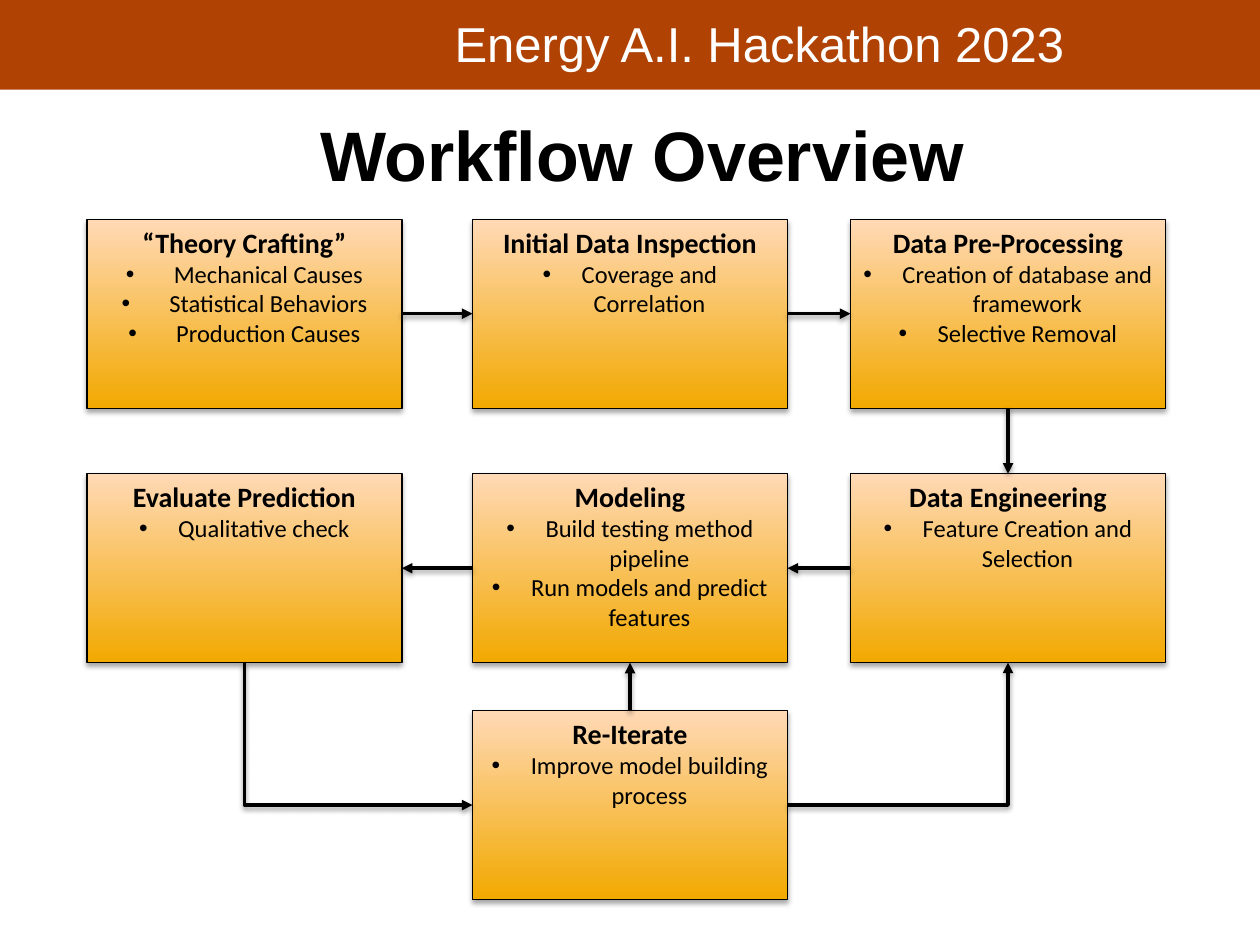
"""Build the workflow overview slide."""
from typing import NamedTuple

from lxml.etree import SubElement
from pptx import Presentation
from pptx.dml.color import RGBColor
from pptx.enum.shapes import MSO_CONNECTOR, MSO_SHAPE
from pptx.enum.text import MSO_ANCHOR, MSO_AUTO_SIZE, PP_ALIGN
from pptx.oxml.ns import qn
from pptx.util import Emu, Inches, Pt

BLACK = RGBColor(0x00, 0x00, 0x00)
WHITE = RGBColor(0xFF, 0xFF, 0xFF)
RUST = RGBColor(0xB0, 0x43, 0x04)
AMBER = RGBColor(0xF2, 0xA9, 0x00)
PEACH = RGBColor(0xFF, 0xD9, 0xB6)

COLS = (0.69, 3.75, 6.75)
ROWS = (1.74, 3.76, 5.64)
WIDE, HIGH = 2.5, 1.5
TOP, LEFT, BASE, RIGHT = range(4)


class Step(NamedTuple):
    name: str
    col: int
    row: int
    points: tuple[str, ...]
    indent: float = 0.31


class Link(NamedTuple):
    start: str
    out: int
    end: str
    into: int
    bent: bool = False


STEPS = (
    Step("“Theory Crafting”", 0, 0,
         ("Mechanical Causes", "Statistical Behaviors", "Production Causes"), 0.38),
    Step("Initial Data Inspection", 1, 0, ("Coverage and Correlation",)),
    Step("Data Pre-Processing", 2, 0,
         ("Creation of database and framework", "Selective Removal")),
    Step("Data Engineering", 2, 1, ("Feature Creation and Selection",)),
    Step("Modeling", 1, 1,
         ("Build testing method pipeline", "Run models and predict features")),
    Step("Evaluate Prediction", 0, 1, ("Qualitative check",)),
    Step("Re-Iterate", 1, 2, ("Improve model building process",)),
)

LINKS = (
    Link("“Theory Crafting”", RIGHT, "Initial Data Inspection", LEFT),
    Link("Initial Data Inspection", RIGHT, "Data Pre-Processing", LEFT),
    Link("Data Pre-Processing", BASE, "Data Engineering", TOP),
    Link("Data Engineering", LEFT, "Modeling", RIGHT),
    Link("Modeling", LEFT, "Evaluate Prediction", RIGHT),
    Link("Re-Iterate", RIGHT, "Data Engineering", BASE, True),
    Link("Re-Iterate", TOP, "Modeling", BASE),
    Link("Evaluate Prediction", BASE, "Re-Iterate", LEFT, True),
)


def style(para, face: str, size: float, color: RGBColor, bold: bool = False) -> None:
    font = para.font
    font.name, font.size, font.bold = face, Pt(size), bold
    font.color.rgb = color


def shade(shape, drop: float, alpha: int) -> None:
    effects = SubElement(shape._element.spPr, qn("a:effectLst"))
    cast = SubElement(effects, qn("a:outerShdw"), blurRad=str(Pt(3.1)),
                      dist=str(Pt(drop)), dir="5400000", rotWithShape="0")
    color = SubElement(cast, qn("a:srgbClr"), val=str(BLACK))
    SubElement(color, qn("a:alpha"), val=str(alpha * 1000))


def add_bullet(para, indent: float) -> None:
    props = para._p.get_or_add_pPr()
    props.set("marL", str(Inches(indent)))
    props.set("indent", str(-Inches(indent)))
    SubElement(props, qn("a:buFont"), typeface="Arial")
    SubElement(props, qn("a:buChar"), char="•")


def add_step(slide, step: Step):
    box = slide.shapes.add_shape(
        MSO_SHAPE.RECTANGLE, Inches(COLS[step.col]), Inches(ROWS[step.row]),
        Inches(WIDE), Inches(HIGH))
    box.fill.gradient()
    box.fill.gradient_angle = 90
    for stop, color in zip(box.fill.gradient_stops, (AMBER, PEACH)):
        stop.color.rgb = color
    box.line.color.rgb = BLACK
    box.line.width = Pt(0.75)
    shade(box, 1.8, 35)

    frame = box.text_frame
    frame.vertical_anchor = MSO_ANCHOR.TOP
    head = frame.paragraphs[0]
    head.text, head.alignment = step.name, PP_ALIGN.CENTER
    style(head, "Calibri", 16, BLACK, True)
    for point in step.points:
        para = frame.add_paragraph()
        para.text, para.alignment = point, PP_ALIGN.CENTER
        add_bullet(para, step.indent)
        style(para, "Calibri", 14, BLACK)
    return box


def turn(line) -> None:
    wide, high = line.width, line.height
    shift = (wide - high) // 2
    line.left, line.top = Emu(line.left + shift), Emu(line.top - shift)
    line.width, line.height = high, wide
    frame = line._element.spPr.find(qn("a:xfrm"))
    frame.set("rot", "16200000")
    frame.set("flipH", "1")


def add_link(slide, link: Link, boxes: dict) -> None:
    kind = MSO_CONNECTOR.ELBOW if link.bent else MSO_CONNECTOR.STRAIGHT
    line = slide.shapes.add_connector(kind, 0, 0, 0, 0)
    line.begin_connect(boxes[link.start], link.out)
    line.end_connect(boxes[link.end], link.into)
    if link.bent:
        line._element.spPr.find(qn("a:prstGeom")).set("prst", "bentConnector2")
        if link.out == BASE:
            turn(line)
    line.line.color.rgb = BLACK
    line.line.width = Pt(2)
    SubElement(line.line._get_or_add_ln(), qn("a:tailEnd"), type="triangle")
    shade(line, 1.6, 38)


def add_header(slide, wide: int, high: int) -> None:
    bar = slide.shapes.add_shape(MSO_SHAPE.RECTANGLE, 0, 0, wide, int(high * 0.095))
    bar.shadow.inherit = False
    bar.fill.solid()
    bar.fill.fore_color.rgb = RUST
    bar.line.fill.background()
    label = slide.shapes.add_textbox(Inches(3.51), Inches(0.06), Inches(5.1), Inches(0.57))
    frame = label.text_frame
    frame.word_wrap = False
    frame.auto_size = MSO_AUTO_SIZE.SHAPE_TO_FIT_TEXT
    para = frame.paragraphs[0]
    para.text = "Energy A.I. Hackathon 2023"
    style(para, "Arial", 28, WHITE)


def add_title(slide) -> None:
    title = slide.shapes.title
    title.left, title.top = Inches(1.03), Inches(0.79)
    title.width, title.height = Inches(8.13), Inches(0.86)
    title.text_frame.vertical_anchor = MSO_ANCHOR.MIDDLE
    para = title.text_frame.paragraphs[0]
    para.text, para.alignment = "Workflow Overview", PP_ALIGN.CENTER
    style(para, "Arial", 40, BLACK, True)


def main() -> None:
    deck = Presentation()
    deck.slide_width, deck.slide_height = Inches(10), Inches(7.5)
    slide = deck.slides.add_slide(deck.slide_layouts[5])
    add_header(slide, deck.slide_width, deck.slide_height)
    add_title(slide)
    boxes = {step.name: add_step(slide, step) for step in STEPS}
    for link in LINKS:
        add_link(slide, link, boxes)
    deck.save("out.pptx")


if __name__ == "__main__":
    main()
